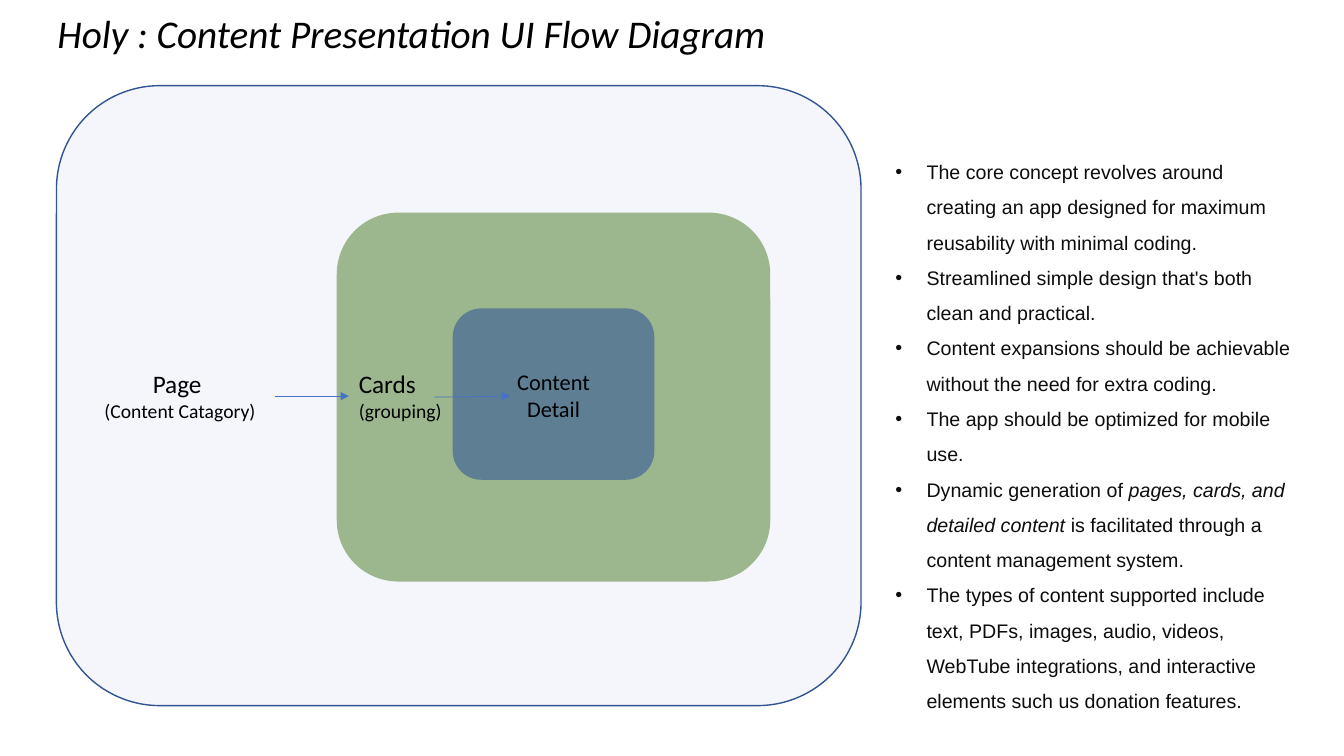
"""Build the content presentation UI flow diagram slide."""
from dataclasses import dataclass
from typing import Optional

from lxml.etree import SubElement
from pptx import Presentation
from pptx.dml.color import RGBColor
from pptx.enum.shapes import MSO_CONNECTOR, MSO_SHAPE
from pptx.enum.text import MSO_ANCHOR, MSO_AUTO_SIZE, PP_ALIGN
from pptx.oxml.ns import qn
from pptx.util import Inches, Pt


@dataclass(frozen=True)
class Theme:
    heading_font: str = "Calibri"
    body_font: str = "Arial"
    black: str = "000000"
    body_ink: str = "0D0D0D"
    blue: str = "4472C4"
    outline: str = "325491"
    green: str = "548235"
    navy: str = "2F5597"
    title_size: int = 28
    label_size: int = 18
    detail_size: int = 16
    small_size: int = 14


THEME = Theme()


@dataclass(frozen=True)
class Area:
    left: float
    top: float
    width: float
    height: float

    def lengths(self) -> tuple:
        return tuple(Inches(side) for side in (self.left, self.top, self.width, self.height))


@dataclass(frozen=True)
class Layer:
    area: Area
    color: str
    opacity: int
    outline: Optional[str] = None


@dataclass(frozen=True)
class Span:
    text: str
    size: int = THEME.small_size
    italic: bool = False
    font: str = THEME.heading_font
    color: str = THEME.black


@dataclass(frozen=True)
class Label:
    area: Area
    lines: tuple
    align: PP_ALIGN = PP_ALIGN.CENTER


@dataclass(frozen=True)
class Arrow:
    start: tuple
    end: tuple


def point(text: str, italic: bool = False) -> Span:
    return Span(text, italic=italic, font=THEME.body_font, color=THEME.body_ink)


LAYERS = (
    Layer(Area(0.56, 0.85, 7.98, 6.15), THEME.blue, 6, THEME.outline),
    Layer(Area(3.34, 2.11, 4.3, 3.66), THEME.green, 55),
    Layer(Area(4.49, 3.06, 2, 1.7), THEME.navy, 57),
)
LABELS = (
    Label(Area(0.84, 3.61, 1.89, 0.64),
          (Span("Page ", THEME.label_size), Span("(Content Catagory)"))),
    Label(Area(4.84, 3.6, 1.3, 0.64), (Span("Content Detail", THEME.detail_size),)),
    Label(Area(3.46, 3.61, 1.12, 0.64),
          (Span("Cards", THEME.label_size), Span("(grouping)")), PP_ALIGN.LEFT),
)
ARROWS = (Arrow((2.73, 3.93), (3.46, 3.93)), Arrow((4.3, 3.94), (5.06, 3.93)))
TITLE_AREA = Area(0.47, 0.04, 8.22, 0.57)
TITLE = Span("Holy : Content Presentation UI Flow Diagram", THEME.title_size, True)
POINTS_AREA = Area(8.78, 1.42, 4.2, 5.37)
POINTS = (
    (point("The core concept revolves around creating an app designed for maximum "
           "reusability with minimal coding."),),
    (point("Streamlined simple design that's both clean and practical."),),
    (point("Content expansions should be achievable without the need for extra coding."),),
    (point("The app should be optimized for mobile use."),),
    (point("Dynamic generation of "),
     point("pages, cards, and detailed content ", True),
     point("is facilitated through a content management system.")),
    (point("The types of content supported include text, PDFs, images, audio, videos, "
           "WebTube integrations, and interactive elements such us donation features."),),
)


def add_span(para, span: Span) -> None:
    run = para.add_run()
    run.text = span.text
    run.font.name = span.font
    run.font.size = Pt(span.size)
    run.font.italic = span.italic
    run.font.color.rgb = RGBColor.from_string(span.color)


def prepare_frame(box, anchor: MSO_ANCHOR = MSO_ANCHOR.TOP):
    frame = box.text_frame
    frame.word_wrap = True
    frame.auto_size = MSO_AUTO_SIZE.NONE
    frame.vertical_anchor = anchor
    return frame


def place(box, area: Area) -> None:
    box.left, box.top, box.width, box.height = area.lengths()


def add_layer(page, layer: Layer) -> None:
    box = page.shapes.add_shape(MSO_SHAPE.ROUNDED_RECTANGLE, *layer.area.lengths())
    box.shadow.inherit = False
    box.fill.solid()
    box.fill.fore_color.rgb = RGBColor.from_string(layer.color)
    color = box.fill._xPr.find(qn("a:solidFill"))[0]
    SubElement(color, qn("a:alpha"), val=str(layer.opacity * 1000))
    if layer.outline:
        box.line.color.rgb = RGBColor.from_string(layer.outline)
        box.line.width = Pt(1)
    else:
        box.line.fill.background()


def add_label(page, label: Label) -> None:
    box = page.shapes.add_textbox(*label.area.lengths())
    para = prepare_frame(box).paragraphs[0]
    para.alignment = label.align
    for index, span in enumerate(label.lines):
        if index:
            para.add_line_break()
        add_span(para, span)


def add_arrow(page, arrow: Arrow) -> None:
    ends = (Inches(value) for value in arrow.start + arrow.end)
    connector = page.shapes.add_connector(MSO_CONNECTOR.STRAIGHT, *ends)
    connector.line.color.rgb = RGBColor.from_string(THEME.blue)
    connector.line.width = Pt(0.5)
    SubElement(connector.line._get_or_add_ln(), qn("a:tailEnd"), type="triangle")
    SubElement(connector._element.spPr, qn("a:effectLst"))


def fill_title(box) -> None:
    place(box, TITLE_AREA)
    para = prepare_frame(box, MSO_ANCHOR.MIDDLE).paragraphs[0]
    para.alignment = PP_ALIGN.LEFT
    add_span(para, TITLE)


def fill_points(box) -> None:
    place(box, POINTS_AREA)
    frame = prepare_frame(box)
    for index, spans in enumerate(POINTS):
        para = frame.add_paragraph() if index else frame.paragraphs[0]
        para.line_spacing = 1.5
        para.space_before = Pt(0)
        properties = para._p.get_or_add_pPr()
        properties.set("marL", str(Inches(0.31)))
        properties.set("indent", str(-Inches(0.31)))
        for span in spans:
            add_span(para, span)


def main() -> None:
    deck = Presentation()
    deck.slide_width, deck.slide_height = Inches(13.33), Inches(7.5)
    page = deck.slides.add_slide(deck.slide_layouts[1])
    fill_title(page.shapes.title)
    fill_points(page.placeholders[1])
    for layer in LAYERS:
        add_layer(page, layer)
    for label in LABELS:
        add_label(page, label)
    for arrow in ARROWS:
        add_arrow(page, arrow)
    deck.save("out.pptx")


if __name__ == "__main__":
    main()
